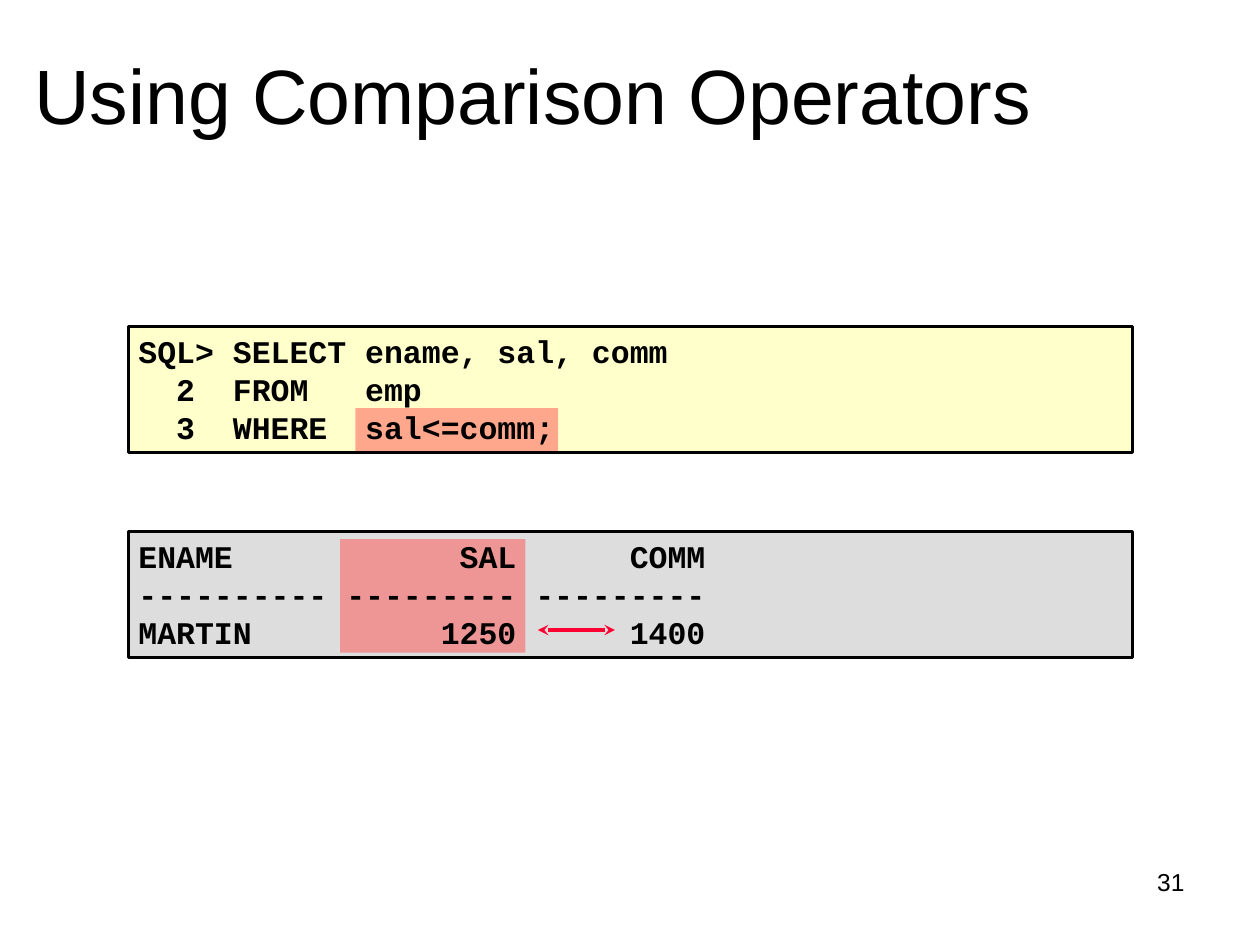
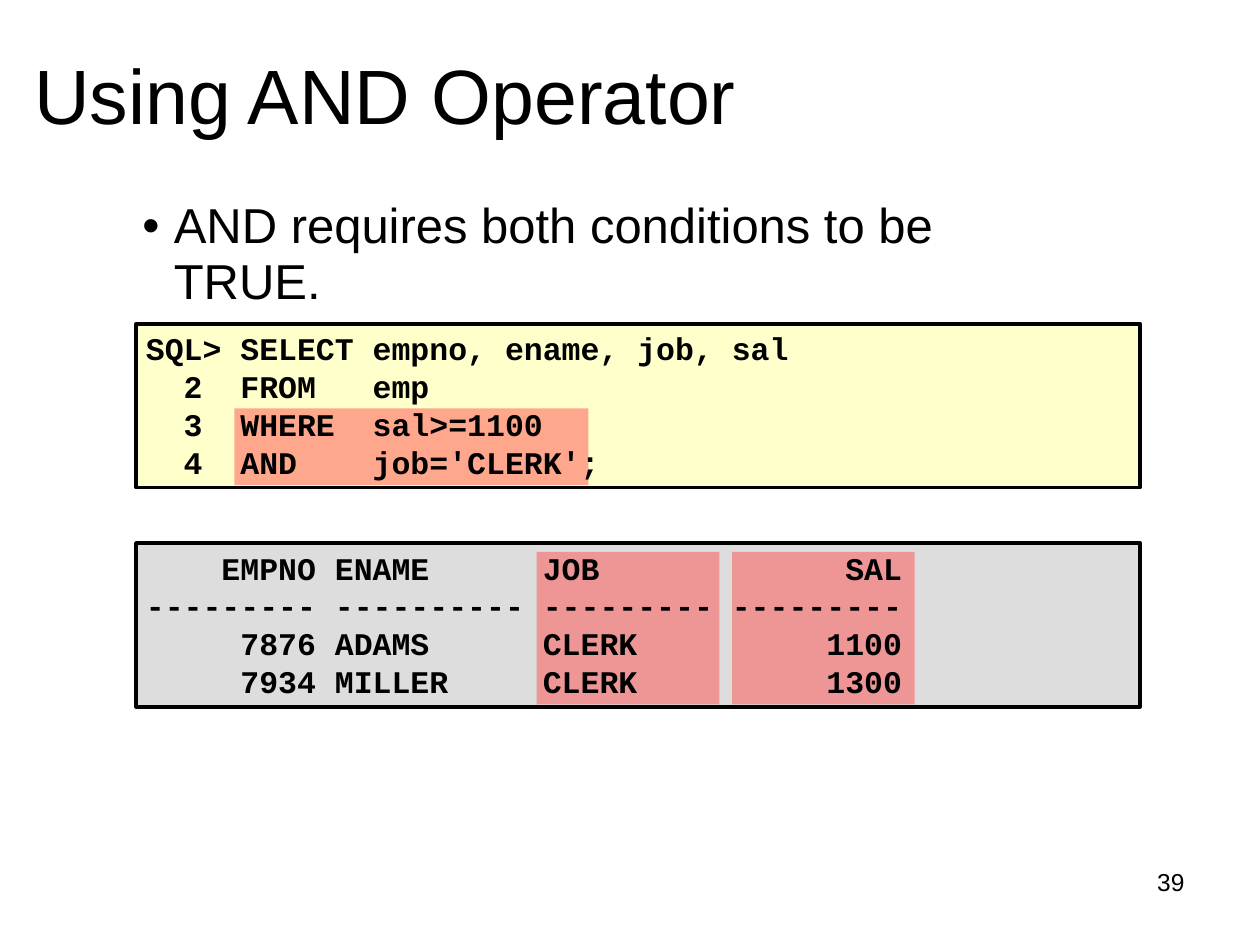
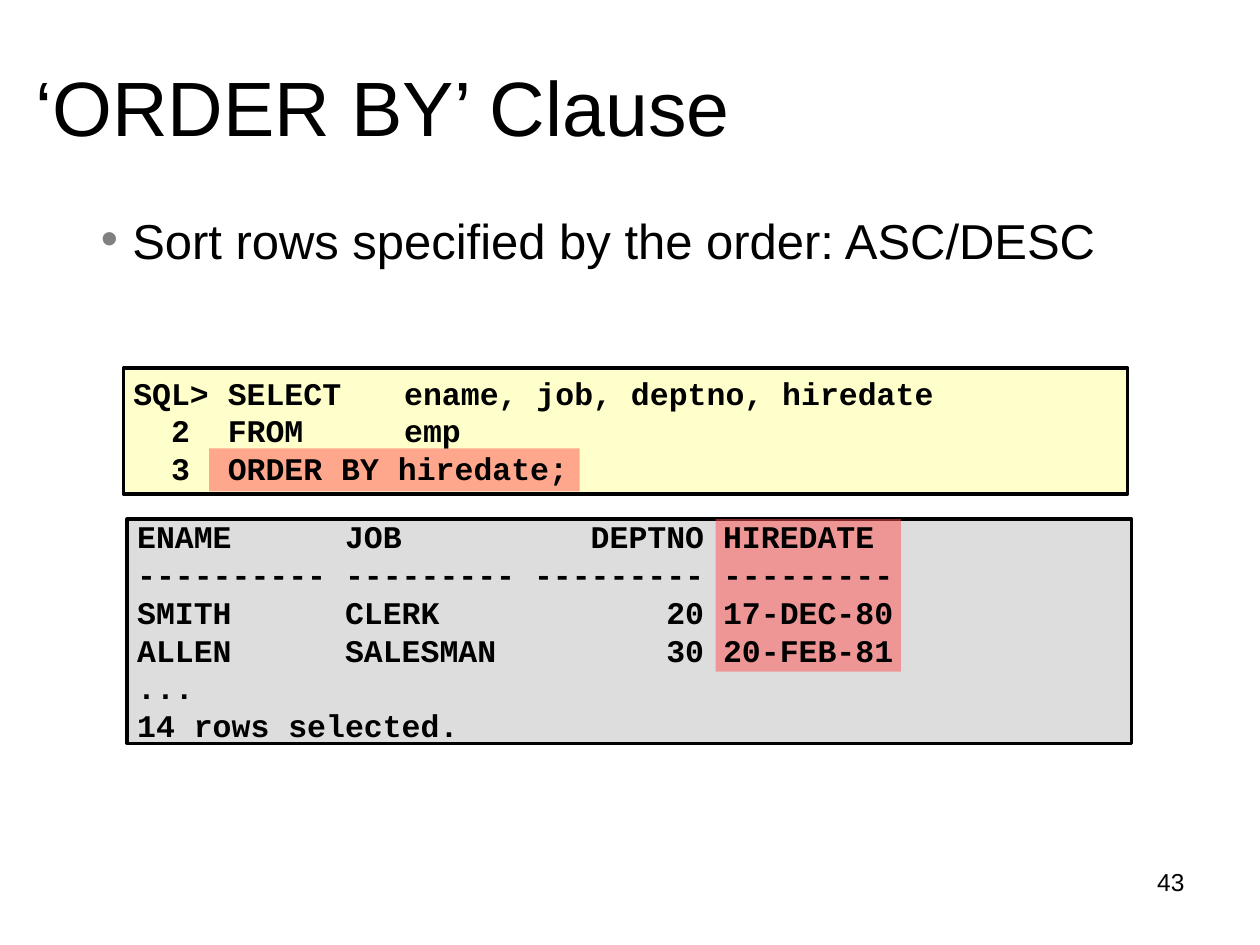
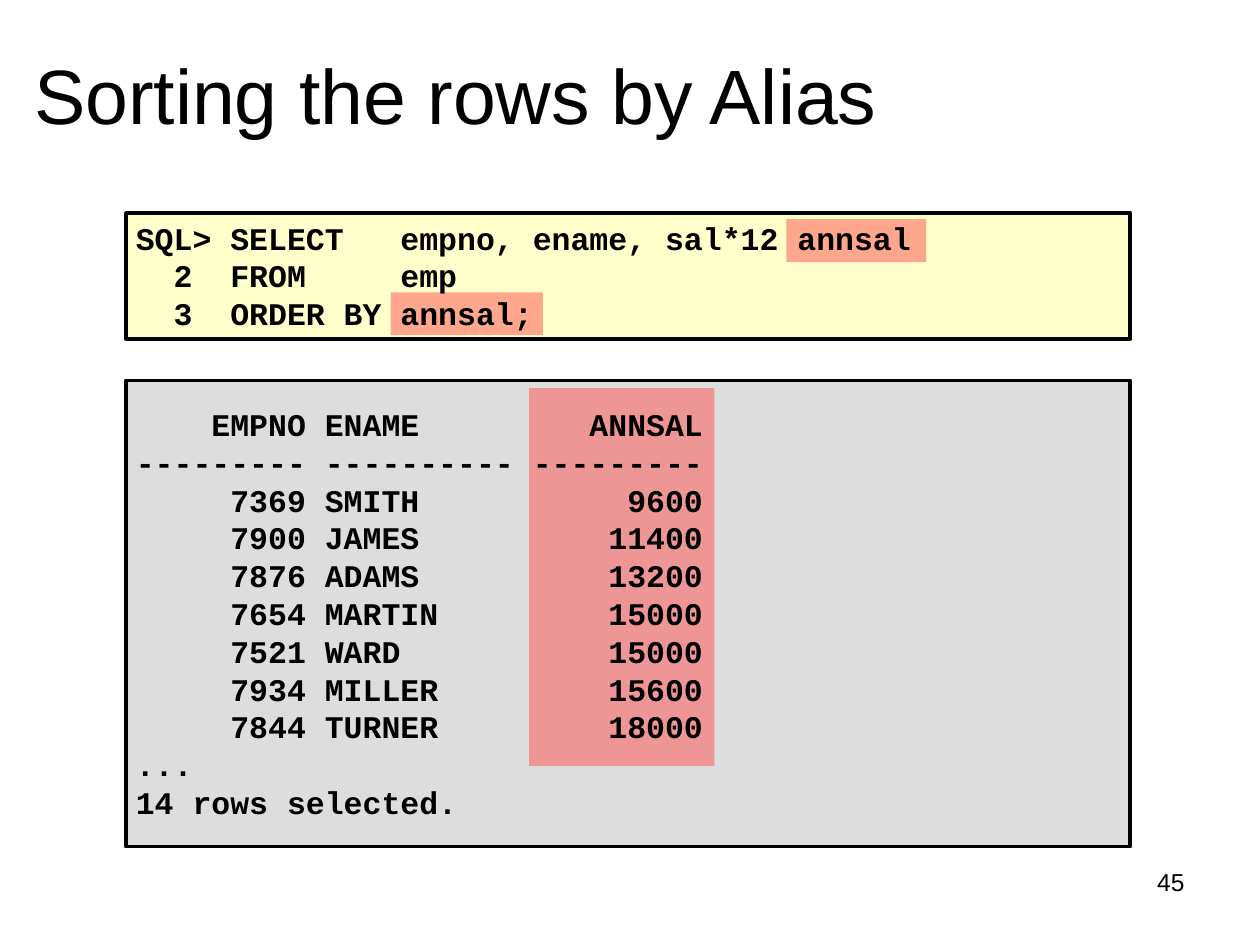
"""Build four SQL lesson slides with query panels, result panels and highlights."""
import pptx
import pptx.util
import pptx.dml.color
import pptx.enum.shapes
import pptx.enum.text
import pptx.oxml
import pptx.oxml.ns

PX = 9144
RGBColor = pptx.dml.color.RGBColor
BLACK = RGBColor(0x00, 0x00, 0x00)
GRAY = RGBColor(0x80, 0x80, 0x80)
QUERY_FILL = RGBColor(0xFF, 0xFF, 0xCC)
RESULT_FILL = RGBColor(0xDD, 0xDD, 0xDD)
HIGHLIGHT = RGBColor(0xFF, 0x50, 0x50)
ARROW = RGBColor(0xFF, 0x00, 0x33)
PANEL_W = 797
NS = pptx.oxml.ns.nsdecls("a")
ANCHOR = pptx.enum.text.MSO_ANCHOR
ALIGN = pptx.enum.text.PP_ALIGN


def write(sp, text, size=18, font="Arial", bold=False, align=ALIGN.LEFT,
          anchor=ANCHOR.TOP, spacing=1.0, bullet=None, indent=0):
    tf = sp.text_frame
    tf.word_wrap = True
    tf.auto_size = pptx.enum.text.MSO_AUTO_SIZE.NONE
    tf.vertical_anchor = anchor
    for i, line in enumerate(text.split("\n")):
        p = tf.add_paragraph() if i else tf.paragraphs[0]
        p.alignment = align
        p.line_spacing = spacing
        p.space_before = pptx.util.Pt(0)
        if bullet is not None:
            pPr = p._p.get_or_add_pPr()
            pPr.set("marL", str(indent * PX))
            pPr.set("indent", str(-25 * PX))
            pPr.append(pptx.oxml.parse_xml(
                f'<a:buClr {NS}><a:srgbClr val="{bullet}"/></a:buClr>'))
            pPr.append(pptx.oxml.parse_xml(f'<a:buChar {NS} char="•"/>'))
        r = p.add_run()
        r.text = line
        r.font.size = pptx.util.Pt(size)
        r.font.name = font
        r.font.bold = bold
        r.font.color.rgb = BLACK


def add_rect(s, box, fill, outlined):
    sp = s.shapes.add_shape(pptx.enum.shapes.MSO_SHAPE.RECTANGLE,
                            *[v * PX for v in box])
    sp.shadow.inherit = False
    sp.fill.solid()
    sp.fill.fore_color.rgb = fill
    if outlined:
        sp.line.color.rgb = BLACK
        sp.line.width = pptx.util.Pt(2)
    else:
        sp.line.fill.background()
    return sp


SLIDES = [
    dict(
        number="31", title="Using Comparison Operators", title_box=(17, 33, 850, 125),
        panels=[
            (102, 259, 100, QUERY_FILL, """\
SQL> SELECT ename, sal, comm
  2  FROM   emp
  3  WHERE  sal<=comm;"""),
            (102, 422, 100, RESULT_FILL, """\
ENAME            SAL      COMM
---------- --------- ---------
MARTIN          1250      1400"""),
        ],
        highlights=[(282, 324, 161, 34), (270, 428, 147, 90)],
        arrow=(427, 500, 488, 500),
    ),
    dict(
        number="39", title="Using AND Operator", title_box=(17, 33, 850, 125),
        body="AND requires both conditions to be TRUE.", body_box=(103, 153, 763, 54),
        body_format=dict(spacing=0.95, bullet=BLACK, indent=25),
        panels=[
            (108, 257, 130, QUERY_FILL, """\
SQL> SELECT empno, ename, job, sal
  2  FROM   emp
  3  WHERE  sal>=1100
  4  AND    job='CLERK';"""),
            (108, 431, 130, RESULT_FILL, """\
    EMPNO ENAME      JOB             SAL
--------- ---------- --------- ---------
     7876 ADAMS      CLERK          1100
     7934 MILLER     CLERK          1300"""),
        ],
        highlights=[(186, 324, 281, 61), (426, 438, 145, 121), (581, 438, 145, 121)],
    ),
    dict(
        number="43", title="‘ORDER BY’ Clause", title_box=(18, 42, 798, 96),
        body="Sort rows specified by the order: ASC/DESC", body_box=(58, 173, 881, 45),
        body_format=dict(spacing=0.75, bullet=GRAY, indent=37),
        panels=[
            (98, 292, 100, QUERY_FILL, """\
SQL> SELECT  \t ename, job, deptno, hiredate
  2  FROM    \t emp
  3  ORDER BY hiredate;"""),
            (101, 412, 178, RESULT_FILL, """\
ENAME      JOB          DEPTNO HIREDATE
---------- --------- --------- ---------
SMITH      CLERK            20 17-DEC-80
ALLEN      SALESMAN         30 20-FEB-81
...
14 rows selected."""),
        ],
        highlights=[(166, 356, 294, 34), (568, 412, 147, 121)],
    ),
    dict(
        number="45", title="Sorting the rows by Alias", title_box=(17, 33, 850, 125),
        panels=[
            (100, 169, 100, QUERY_FILL, """\
SQL> SELECT   empno, ename, sal*12 annsal
  2  FROM     emp
  3  ORDER BY annsal;"""),
            (100, 302, 370, RESULT_FILL, """\
    EMPNO ENAME         ANNSAL
--------- ---------- ---------
     7369 SMITH           9600
     7900 JAMES          11400
     7876 ADAMS          13200
     7654 MARTIN         15000
     7521 WARD           15000
     7934 MILLER         15600
     7844 TURNER         18000
...
14 rows selected."""),
        ],
        highlights=[(310, 232, 121, 34), (420, 308, 147, 300), (624, 174, 111, 34)],
    ),
]

prs = pptx.Presentation()
prs.slide_width = 1000 * PX
prs.slide_height = 750 * PX

for data in SLIDES:
    s = prs.slides.add_slide(prs.slide_layouts[1 if "body" in data else 5])
    sp = s.shapes.title
    sp.left, sp.top, sp.width, sp.height = [v * PX for v in data["title_box"]]
    write(sp, data["title"], size=44)

    if "body" in data:
        sp = s.placeholders[1]
        sp.left, sp.top, sp.width, sp.height = [v * PX for v in data["body_box"]]
        write(sp, data["body"], size=28, **data["body_format"])

    for left, top, height, fill, code in data["panels"]:
        add_rect(s, (left, top, PANEL_W, height), fill, True)

    for box in data["highlights"]:
        sp = add_rect(s, box, HIGHLIGHT, False)
        color = sp._element.spPr.find(".//" + pptx.oxml.ns.qn("a:srgbClr"))
        color.append(pptx.oxml.parse_xml(f'<a:alpha {NS} val="50000"/>'))

    for left, top, height, fill, code in data["panels"]:
        box = (left - 2, top - 2, PANEL_W + 3, height + 3)
        sp = s.shapes.add_textbox(*[v * PX for v in box])
        write(sp, code, font="Courier New", bold=True, anchor=ANCHOR.MIDDLE)

    if "arrow" in data:
        sp = s.shapes.add_connector(pptx.enum.shapes.MSO_CONNECTOR.STRAIGHT,
                                    *[v * PX for v in data["arrow"]])
        sp.line.color.rgb = ARROW
        sp.line.width = pptx.util.Pt(2)
        ln = sp.line._get_or_add_ln()
        for end in ("headEnd", "tailEnd"):
            ln.append(pptx.oxml.parse_xml(f'<a:{end} {NS} type="stealth"/>'))
        sp._element.spPr.append(pptx.oxml.parse_xml(f"<a:effectLst {NS}/>"))

    sp = s.shapes.add_textbox(717 * PX, 683 * PX, 233 * PX, 52 * PX)
    write(sp, data["number"], size=14, align=ALIGN.RIGHT)

prs.save("out.pptx")
